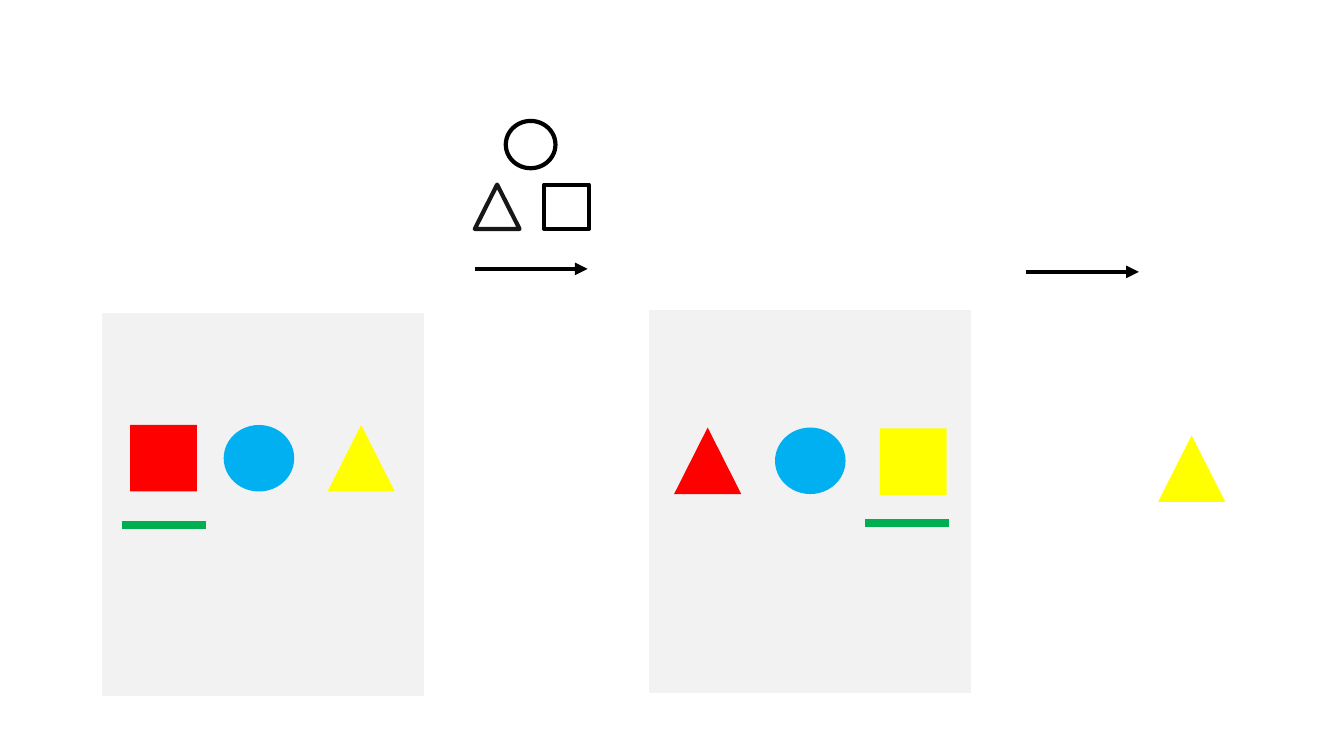
from lxml.etree import SubElement
from pptx import Presentation
from pptx.dml.color import RGBColor
from pptx.enum.shapes import MSO_CONNECTOR, MSO_SHAPE
from pptx.oxml.ns import qn
from pptx.util import Pt

COLORS = {
    "panel": "F2F2F2", "red": "FF0000", "blue": "00B0F0", "yellow": "FFFF00",
    "green": "00B050", "black": "000000", "soft black": "181717",
}
KINDS = {
    "square": MSO_SHAPE.RECTANGLE,
    "circle": MSO_SHAPE.OVAL,
    "triangle": MSO_SHAPE.ISOSCELES_TRIANGLE,
}
TOKEN_SIZES = {"square": (47.8, 47.5), "circle": (50.4, 47.5), "triangle": (48, 47.5)}
PANEL_SIZE = (229, 273)
ARROW_LENGTH = 80.6
UNDERLINE_LENGTH = 60

# Each panel: left, top, tokens (kind, color, left, top), underline (left, y)
PANELS = [
    (73.4, 223.9,
     [("triangle", "yellow", 234, 303.5), ("circle", "blue", 159.8, 303.6),
      ("square", "red", 92.9, 303.6)],
     (87, 375)),
    (464.4, 221.8,
     [("triangle", "red", 481.5, 305.4), ("circle", "blue", 553.6, 305.4),
      ("square", "yellow", 628.5, 306)],
     (617.9, 373.6)),
]
RESULT = ("triangle", "yellow", 827.2, 311)

# Shapes of the rule above the first arrow: kind, color, left, top, width, height
RULE_OUTLINES = [
    ("triangle", "soft black", 339.1, 131.9, 32, 31.7),
    ("circle", "black", 361.3, 86.4, 35.5, 33.8),
    ("square", "black", 388.6, 131.9, 32, 31.7),
]
ARROWS = [(339.1, 192.1), (732.9, 194.2)]


def color(name):
    return RGBColor.from_string(COLORS[name])


def add_figure(slide, kind, left, top, width, height, fill=None, line=None, weight=1):
    figure = slide.shapes.add_shape(KINDS[kind], Pt(left), Pt(top), Pt(width), Pt(height))
    figure.shadow.inherit = False
    if fill:
        figure.fill.solid()
        figure.fill.fore_color.rgb = color(fill)
    else:
        figure.fill.background()
    if line:
        figure.line.color.rgb = color(line)
        figure.line.width = Pt(weight)
    else:
        figure.line.fill.background()


def add_token(slide, kind, fill, left, top):
    add_figure(slide, kind, left, top, *TOKEN_SIZES[kind], fill=fill)


def add_rule_line(slide, left, y, length, line, weight, arrow=False):
    """Draw a horizontal line, with an arrowhead on the right if asked."""
    stroke = slide.shapes.add_connector(
        MSO_CONNECTOR.STRAIGHT, Pt(left), Pt(y), Pt(left + length), Pt(y))
    stroke.line.color.rgb = color(line)
    stroke.line.width = Pt(weight)
    if arrow:
        SubElement(stroke.line._get_or_add_ln(), qn("a:tailEnd"), type="triangle")
    SubElement(stroke._element.spPr, qn("a:effectLst"))


def main():
    deck = Presentation()
    deck.slide_width, deck.slide_height = Pt(960), Pt(540)
    slide = deck.slides.add_slide(deck.slide_layouts[6])

    for left, top, tokens, underline in PANELS:
        add_figure(slide, "square", left, top, *PANEL_SIZE, fill="panel", line="panel")
        for token in tokens:
            add_token(slide, *token)
        add_rule_line(slide, *underline, UNDERLINE_LENGTH, "green", 6)

    for left, y in ARROWS:
        add_rule_line(slide, left, y, ARROW_LENGTH, "black", 3, arrow=True)
    add_token(slide, *RESULT)
    for kind, line, *box in RULE_OUTLINES:
        add_figure(slide, kind, *box, line=line, weight=3)

    deck.save("out.pptx")


if __name__ == "__main__":
    main()
